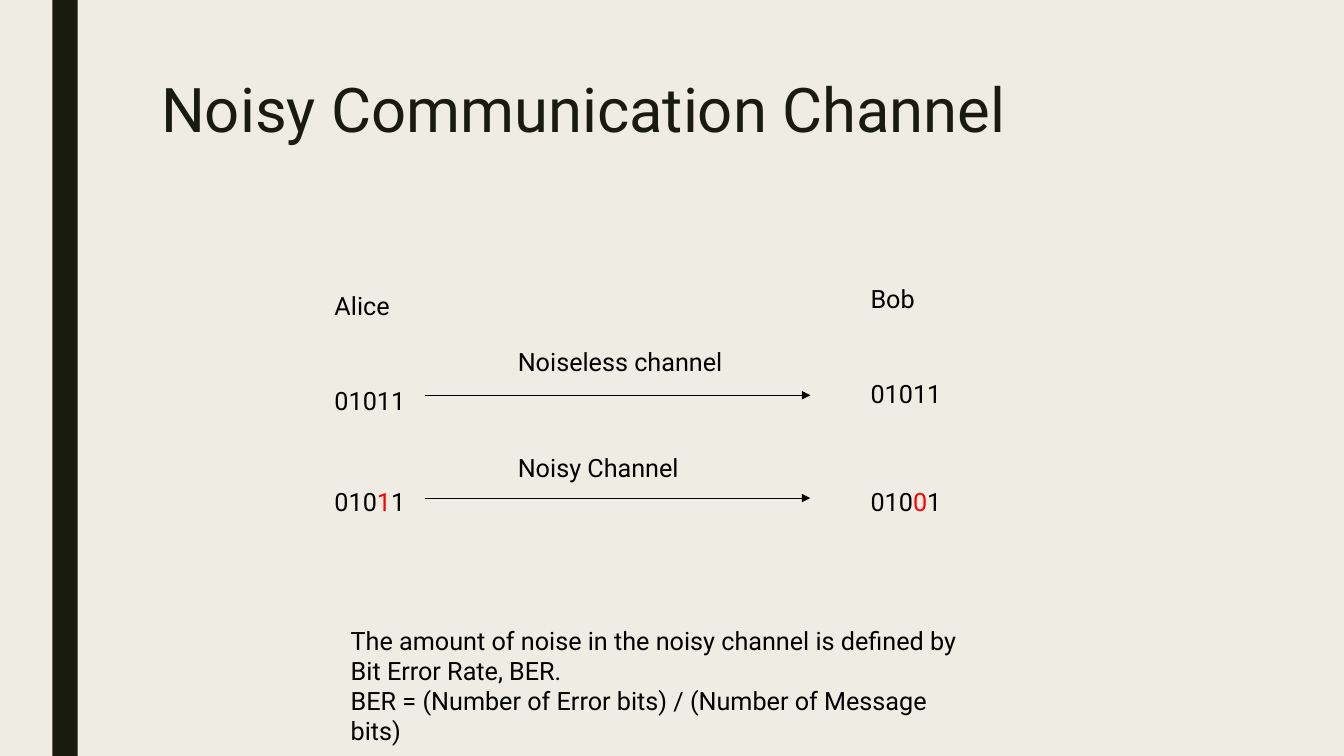
from lxml.etree import SubElement
from pptx import Presentation
from pptx.dml.color import RGBColor
from pptx.enum.shapes import MSO_CONNECTOR as Connector, MSO_SHAPE as Shape
from pptx.oxml.ns import qn
from pptx.util import Cm, Pt


def color(value):
    return RGBColor.from_string(value)


class ChannelSlide:
    font = "Roboto"
    paper = "EFEDE3"
    dark = "191B0E"
    ink = "000000"
    error = "FF0000"

    def __init__(self, deck):
        self.page = deck.slides.add_slide(deck.slide_layouts[6])
        fill = self.page.background.fill
        fill.solid()
        fill.fore_color.rgb = color(self.paper)

    def bar(self, left, top, width, height):
        bar = self.page.shapes.add_shape(
            Shape.RECTANGLE, Cm(left), Cm(top), Cm(width), Cm(height))
        bar.shadow.inherit = False
        bar.fill.solid()
        bar.fill.fore_color.rgb = color(self.dark)
        bar.line.fill.background()

    def text(self, left, top, width, height, lines, size=18, ink=ink, spacing=None):
        box = self.page.shapes.add_textbox(Cm(left), Cm(top), Cm(width), Cm(height))
        frame = box.text_frame
        frame.word_wrap = True
        for index, line in enumerate(lines):
            para = frame.add_paragraph() if index else frame.paragraphs[0]
            para.font.name = self.font
            para.font.size = Pt(size)
            para.line_spacing = spacing
            for position, part in enumerate(line.split("*")):
                span = para.add_run()
                span.text = part
                span.font.color.rgb = color(self.error if position % 2 else ink)

    def arrow(self, start, end, y):
        arrow = self.page.shapes.add_connector(
            Connector.STRAIGHT, Cm(start), Cm(y), Cm(end), Cm(y))
        arrow.line.color.rgb = color(self.ink)
        arrow.line.width = Pt(0.75)
        SubElement(arrow.line._get_or_add_ln(), qn("a:tailEnd"), type="triangle")
        SubElement(arrow._element.spPr, qn("a:effectLst"))


def main():
    deck = Presentation()
    deck.slide_width, deck.slide_height = Cm(33.87), Cm(19.05)
    slide = ChannelSlide(deck)
    slide.bar(1.32, 0, 0.64, 19.05)
    slide.text(3.81, 1.9, 26.67, 4.11, ["Noisy Communication Channel"],
               size=44, ink=slide.dark, spacing=0.89)

    alice, channel, bob = 8.18, 12.8, 21.69
    labels = [
        (alice, 7.19, 2.54, "Alice"),
        (bob, 7.01, 2.54, "Bob"),
        (alice, 9.58, 2.54, "01011"),
        (channel, 8.61, 6.78, "Noiseless channel"),
        (bob, 9.42, 2.54, "01011"),
        (alice, 12.14, 2.54, "010*1*1"),
        (channel, 11.28, 5.61, "Noisy Channel"),
        (bob, 12.14, 2.54, "010*0*1"),
    ]
    for left, top, width, label in labels:
        slide.text(left, top, width, 1.02, [label])
    for y in (9.96, 12.55):
        slide.arrow(10.72, 20.42, y)

    slide.text(8.59, 15.62, 15.88, 3.4, [
        "The amount of noise in the noisy channel is defined by Bit Error Rate, BER.",
        "BER = (Number of Error bits) / (Number of Message bits)",
    ])
    deck.save("out.pptx")


if __name__ == "__main__":
    main()
